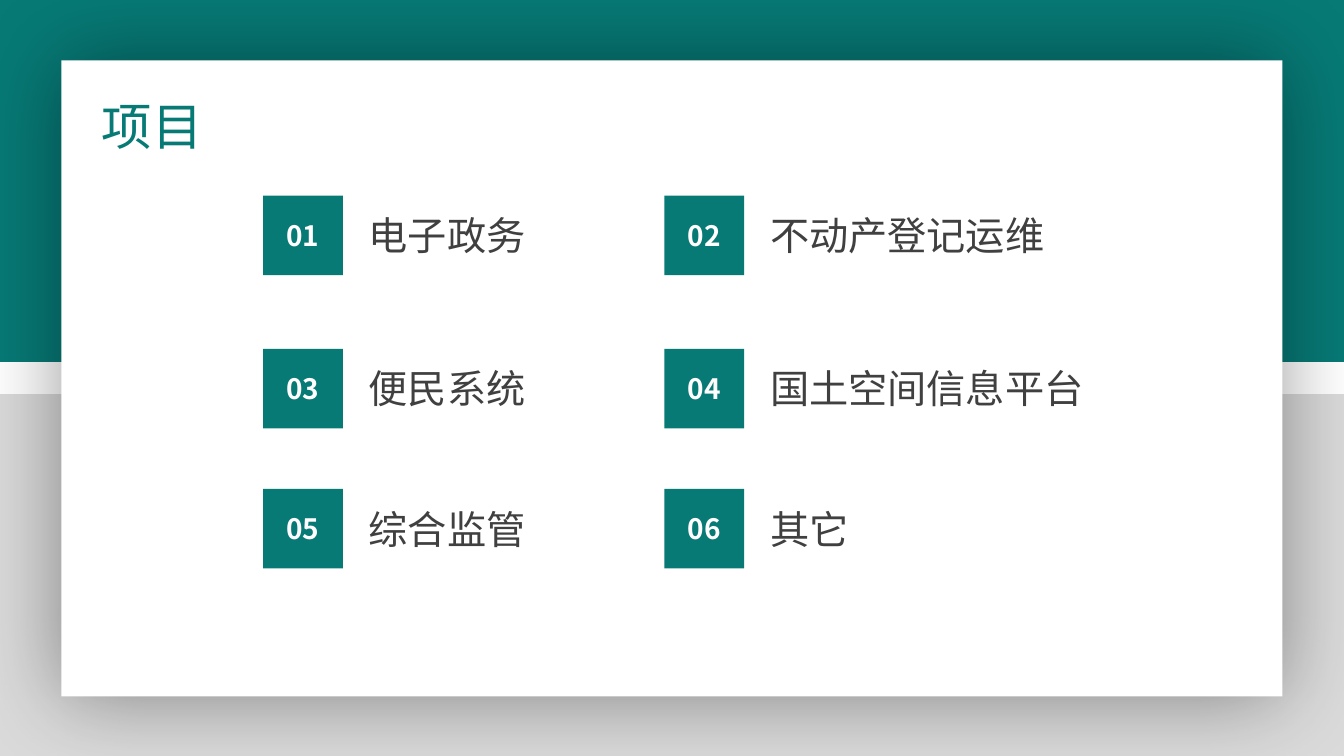
from dataclasses import dataclass

from lxml import etree
from pptx import Presentation
from pptx.dml.color import RGBColor
from pptx.enum.shapes import MSO_SHAPE
from pptx.enum.text import MSO_ANCHOR, PP_ALIGN
from pptx.oxml.ns import qn
from pptx.util import Inches, Pt

RECTANGLE = MSO_SHAPE.RECTANGLE
MIDDLE = MSO_ANCHOR.MIDDLE
CENTER, LEFT = PP_ALIGN.CENTER, PP_ALIGN.LEFT

# Content
TITLE = "项目"
PROJECTS = [
    ("电子政务", "不动产登记运维"),
    ("便民系统", "国土空间信息平台"),
    ("综合监管", "其它"),
]


@dataclass(frozen=True)
class Theme:
    font: str = "Noto Sans CJK SC"
    teal: str = "077A76"
    gray: str = "DADADA"
    white: str = "FFFFFF"
    ink: str = "404040"
    shadow: str = "000000"
    title_size: int = 36
    label_size: int = 28
    number_size: int = 20


THEME = Theme()

# Layout in inches
WIDTH, HEIGHT = 13.33, 7.5
BAND_HEIGHT = 3.59
CARD = (0.61, 0.6, 12.11, 6.31)
TITLE_BOX = (0.91, 0.89, 3.58, 0.71)
COLUMNS = [(2.61, 2.19), (6.59, 3.76)]  # left edge, label width
ROWS = [1.94, 3.46, 4.85]
BADGE = 0.79
LABEL_OFFSET, LABEL_HEIGHT = 0.95, 0.57


def add_rectangle(slide, box, color):
    shape = slide.shapes.add_shape(RECTANGLE, *map(Inches, box))
    shape.shadow.inherit = False
    shape.fill.solid()
    shape.fill.fore_color.rgb = RGBColor.from_string(color)
    shape.line.fill.background()
    return shape


def add_card_shadow(shape, blur, opacity):
    effects = shape._element.spPr.find(qn("a:effectLst"))
    shadow = etree.SubElement(effects, qn("a:outerShdw"), blurRad=str(Pt(blur)),
                              dist="0", algn="ctr", rotWithShape="0")
    color = etree.SubElement(shadow, qn("a:srgbClr"), val=THEME.shadow)
    etree.SubElement(color, qn("a:alpha"), val=str(opacity * 1000))


def write(shape, text, size, color, bold=False, align=LEFT):
    shape.text_frame.word_wrap = True
    paragraph = shape.text_frame.paragraphs[0]
    paragraph.text = text
    paragraph.alignment = align
    font = paragraph.font
    font.size, font.bold, font.name = Pt(size), bold, THEME.font
    font.color.rgb = RGBColor.from_string(color)
    # East Asian glyphs take their own typeface
    properties = paragraph._p.pPr.find(qn("a:defRPr"))
    etree.SubElement(properties, qn("a:ea"), typeface=THEME.font)


def add_text(slide, box, text, size, color):
    write(slide.shapes.add_textbox(*map(Inches, box)), text, size, color)


def add_project(slide, number, label, left, top, label_width):
    badge = add_rectangle(slide, (left, top, BADGE, BADGE), THEME.teal)
    badge.text_frame.vertical_anchor = MIDDLE
    write(badge, f"{number:02d}", THEME.number_size, THEME.white, True, CENTER)
    label_top = top + (BADGE - LABEL_HEIGHT) / 2
    add_text(slide, (left + LABEL_OFFSET, label_top, label_width, LABEL_HEIGHT),
             label, THEME.label_size, THEME.ink)


def main():
    presentation = Presentation()
    presentation.slide_width = Inches(WIDTH)
    presentation.slide_height = Inches(HEIGHT)
    slide = presentation.slides.add_slide(presentation.slide_layouts[6])

    # Backdrop and card
    add_rectangle(slide, (0, 0, WIDTH, BAND_HEIGHT), THEME.teal)
    add_rectangle(slide, (0, HEIGHT - BAND_HEIGHT, WIDTH, BAND_HEIGHT), THEME.gray)
    add_card_shadow(add_rectangle(slide, CARD, THEME.white), blur=63, opacity=40)

    # Title and numbered projects
    add_text(slide, TITLE_BOX, TITLE, THEME.title_size, THEME.teal)
    for row, (top, labels) in enumerate(zip(ROWS, PROJECTS)):
        for column, ((left, width), label) in enumerate(zip(COLUMNS, labels)):
            number = row * len(COLUMNS) + column + 1
            add_project(slide, number, label, left, top, width)

    presentation.save("out.pptx")


if __name__ == "__main__":
    main()
